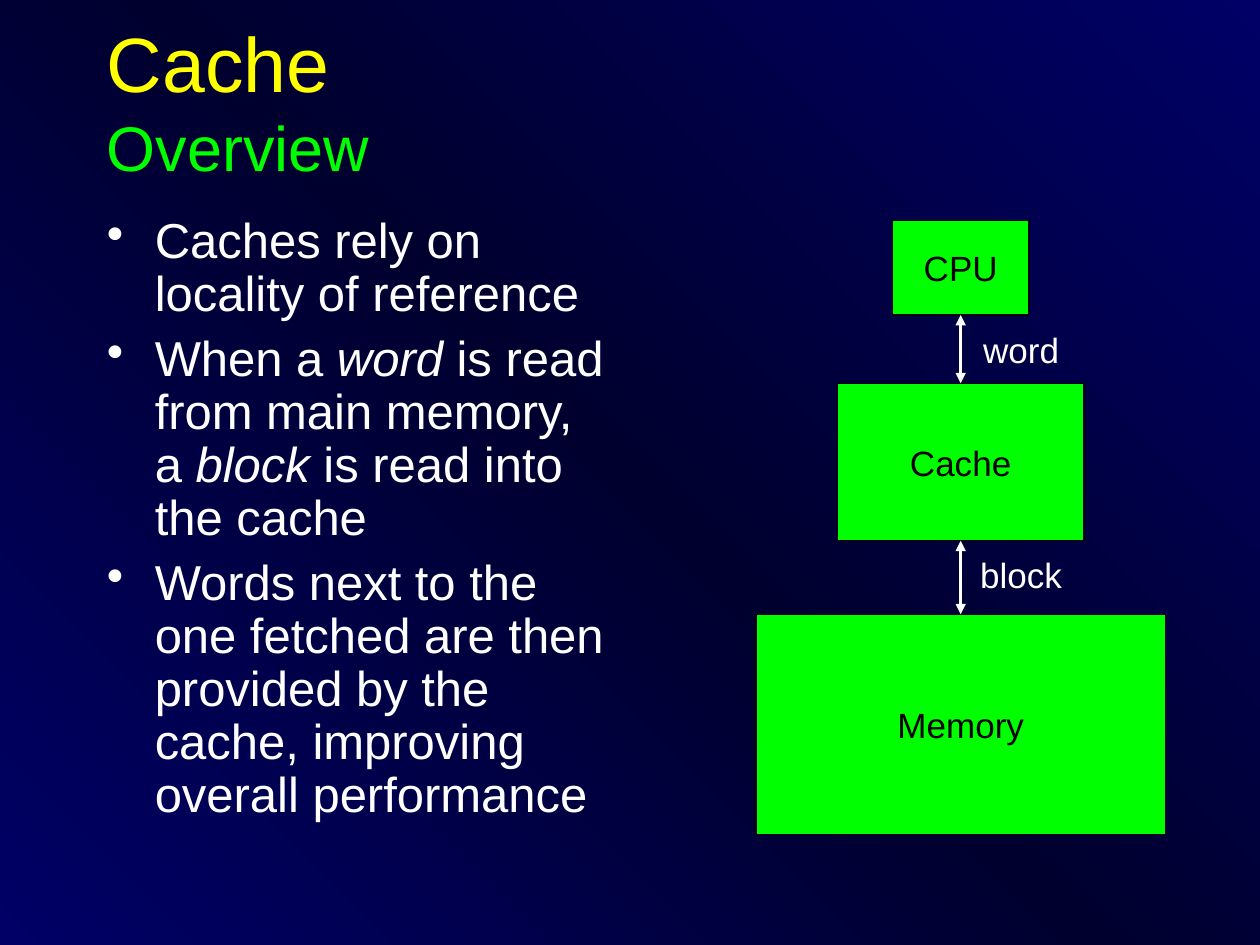
from copy import deepcopy
from typing import NamedTuple

from lxml import etree
from pptx import Presentation
from pptx import util as u
from pptx.dml.color import RGBColor
from pptx.enum import shapes, text
from pptx.oxml.ns import qn

NAVY = RGBColor(0x00, 0x00, 0x66)
MIDNIGHT = RGBColor(0x00, 0x00, 0x2F)
YELLOW = RGBColor(0xFF, 0xFF, 0x00)
GREEN = RGBColor(0x00, 0xFF, 0x00)
WHITE = RGBColor(0xFF, 0xFF, 0xFF)
BLACK = RGBColor(0x00, 0x00, 0x00)
FONT = "Arial"
CELL = u.Inches(10) // 120  # the slide is a grid of 120 columns and 90 rows
AXIS = 91.5  # column through the middle of the memory levels
LABEL_AXIS = 97.25


class Level(NamedTuple):
    name: str
    top: float
    width: float
    height: float


class Span(NamedTuple):
    words: str
    italic: bool = False


LEVELS = [
    Level("CPU", 21, 13, 9),
    Level("Cache", 36.5, 23.5, 15),
    Level("Memory", 58.5, 39, 21),
]
TRANSFERS = ["word", "block"]
POINTS = [
    [Span("Caches rely on locality of reference")],
    [
        Span("When a "),
        Span("word", True),
        Span(" is read from main memory, a "),
        Span("block", True),
        Span(" is read into the cache"),
    ],
    [Span("Words next to the one fetched are then provided by the cache, "
          "improving overall performance")],
]


def grid(*cells: float) -> list[u.Emu]:
    return [u.Emu(round(cell * CELL)) for cell in cells]


def set_font(font, size: float, color: RGBColor) -> None:
    font.name, font.size = FONT, u.Pt(size)
    font.color.rgb = color


def paint_background(page) -> None:
    fill = page.background.fill
    fill.gradient()
    fill.gradient_angle = 225
    stop_list = page.element.find(f".//{qn('a:gsLst')}")
    stop_list.append(deepcopy(stop_list[0]))
    for stop, position, color in zip(fill.gradient_stops, (0, 0.5, 1), (NAVY, MIDNIGHT, NAVY)):
        stop.position = position
        stop.color.rgb = color


def add_title(page) -> None:
    box = page.shapes.add_textbox(*grid(9, 2, 102, 15))
    frame = box.text_frame
    frame.word_wrap = True
    frame.vertical_anchor = text.MSO_ANCHOR.MIDDLE
    para = frame.paragraphs[0]
    span = para.add_run()
    span.text = "Cache"
    set_font(span.font, 44, YELLOW)
    para.add_line_break()
    span = para.add_run()
    span.text = "Overview"
    set_font(span.font, 36, GREEN)


def add_points(page) -> None:
    frame = page.shapes.add_textbox(*grid(9, 20, 50, 60)).text_frame
    frame.word_wrap = True
    for index, spans in enumerate(POINTS):
        para = frame.add_paragraph() if index else frame.paragraphs[0]
        para.line_spacing = 0.9
        para.space_before = u.Pt(7 if index else 0)
        properties = para._p.get_or_add_pPr()
        properties.set("marL", str(u.Inches(0.38)))
        properties.set("indent", str(-u.Inches(0.38)))
        etree.SubElement(properties, qn("a:buChar"), char="•")
        set_font(para.font, 28, WHITE)
        for words, italic in spans:
            span = para.add_run()
            span.text = words
            if italic:
                span.font.italic = True


def write_centred(box, words: str, color: RGBColor) -> None:
    frame = box.text_frame
    frame.word_wrap = False
    frame.vertical_anchor = text.MSO_ANCHOR.MIDDLE
    para = frame.paragraphs[0]
    para.text = words
    para.alignment = text.PP_ALIGN.CENTER
    set_font(para.font, 20, color)


def add_level(page, level: Level):
    place = grid(AXIS - level.width / 2, level.top, level.width, level.height)
    box = page.shapes.add_shape(shapes.MSO_SHAPE.RECTANGLE, *place)
    box.shadow.inherit = False
    box.fill.solid()
    box.fill.fore_color.rgb = GREEN
    box.line.color.rgb = BLACK
    box.line.width = u.Pt(0.75)
    write_centred(box, level.name, BLACK)
    return box


def add_transfer(page, upper, lower, words: str) -> None:
    """Join two levels by a double arrow, labelled on its right."""
    arrow = page.shapes.add_connector(shapes.MSO_CONNECTOR.STRAIGHT, 0, 0, 0, 0)
    arrow.begin_connect(upper, 2)
    arrow.end_connect(lower, 0)
    arrow.line.color.rgb = WHITE
    arrow.line.width = u.Pt(1.5)
    line = arrow.line._get_or_add_ln()
    for end in ("a:headEnd", "a:tailEnd"):
        etree.SubElement(line, qn(end), type="triangle")
    etree.SubElement(arrow._element.spPr, qn("a:effectLst"))

    left, width, height = grid(LABEL_AXIS - 9.75, 19.5, 6.5)
    label = page.shapes.add_textbox(left, upper.top + upper.height, width, height)
    write_centred(label, words, WHITE)


def main() -> None:
    deck = Presentation()
    deck.slide_width, deck.slide_height = grid(120, 90)
    page = deck.slides.add_slide(deck.slide_layouts[6])
    paint_background(page)
    add_title(page)
    add_points(page)
    boxes = [add_level(page, level) for level in LEVELS]
    for upper, lower, words in zip(boxes, boxes[1:], TRANSFERS):
        add_transfer(page, upper, lower, words)
    deck.save("out.pptx")


if __name__ == "__main__":
    main()
